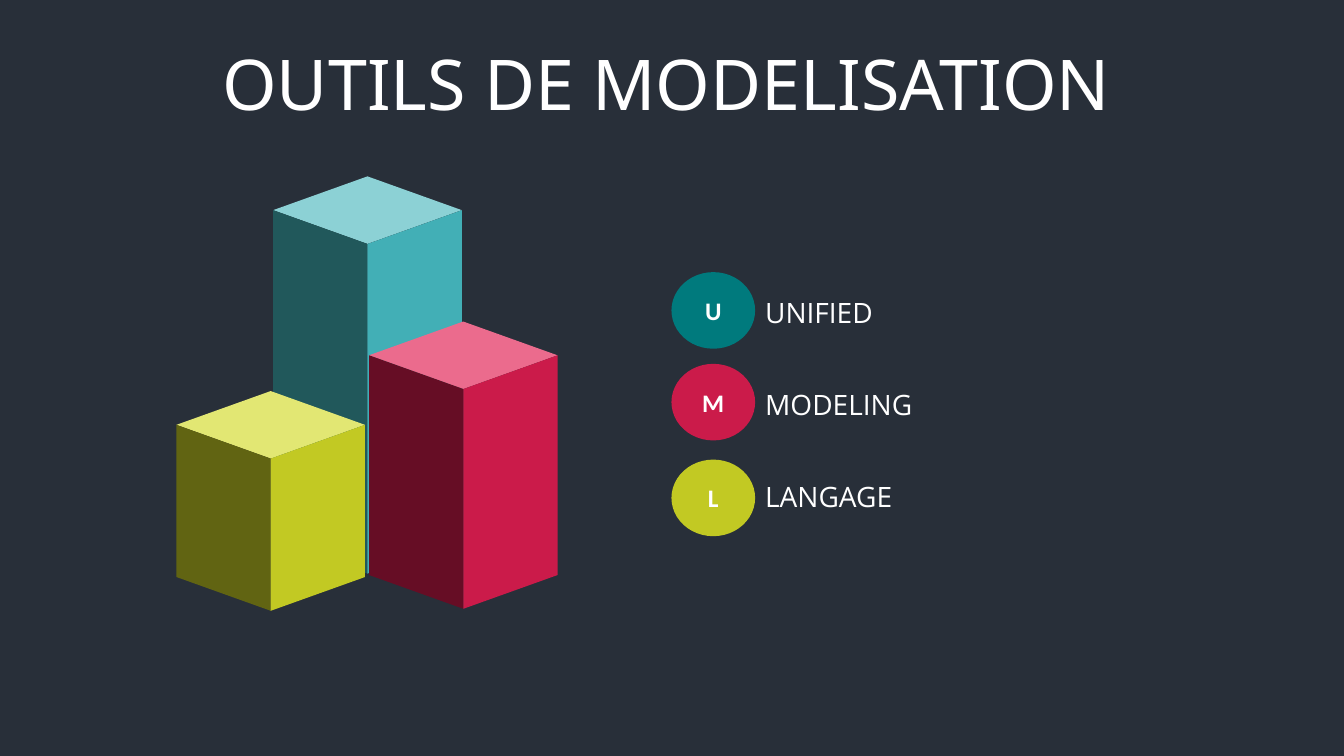
import dataclasses

import pptx
import pptx.dml.color
import pptx.enum.shapes
import pptx.enum.text
import pptx.util

Inches = pptx.util.Inches
Shape = pptx.enum.shapes.MSO_SHAPE
Align = pptx.enum.text.PP_ALIGN


@dataclasses.dataclass(frozen=True)
class Theme:
    background: str = "282F39"
    text: str = "FFFFFF"
    teal: tuple = ("8CD1D5", "21585B", "42AFB6")
    pink: tuple = ("EB6B8D", "660D25", "CB1B4A")
    lime: tuple = ("E2E773", "616412", "C2C923")
    unified: str = "007A7D"
    title_font: str = "Noto Sans"
    label_font: str = "Open Sans"
    letter_font: str = "Calibri"
    title_size: int = 50
    label_size: int = 20
    letter_size: int = 18


THEME = Theme()


def rgb(value):
    return pptx.dml.color.RGBColor.from_string(value)


def write(frame, words, font, size, align, bold=False):
    frame.word_wrap = True
    frame.vertical_anchor = pptx.enum.text.MSO_ANCHOR.MIDDLE
    paragraph = frame.paragraphs[0]
    paragraph.alignment = align
    run = paragraph.add_run()
    run.text = words
    run.font.name = font
    run.font.size = pptx.util.Pt(size)
    run.font.bold = bold
    run.font.color.rgb = rgb(THEME.text)


def add_filled(shapes, kind, left, top, width, height, color):
    filled = shapes.add_shape(
        kind, Inches(left), Inches(top), Inches(width), Inches(height)
    )
    filled.shadow.inherit = False
    filled.fill.solid()
    filled.fill.fore_color.rgb = rgb(color)
    filled.line.fill.background()
    return filled


def add_title(slide, left, top, width, height):
    title = slide.shapes.title
    title.left, title.top = Inches(left), Inches(top)
    title.width, title.height = Inches(width), Inches(height)
    write(title.text_frame, "OUTILS DE MODELISATION", THEME.title_font,
          THEME.title_size, Align.CENTER)
    title.text_frame.auto_size = pptx.enum.text.MSO_AUTO_SIZE.NONE


def add_prism(shapes, left, top, width, height, colors):
    lid_height = 0.67
    lid_color, *face_colors = colors
    add_filled(shapes, Shape.FLOWCHART_DECISION, left, top, width, lid_height, lid_color)
    face_width = width / 2
    face_height = height - lid_height / 2
    middle = top + lid_height / 2 + face_height / 2
    for side, color in enumerate(face_colors):
        center = left + face_width * (side + 0.5)
        face = add_filled(shapes, Shape.PARALLELOGRAM, center - face_height / 2,
                          middle - face_width / 2, face_height, face_width, color)
        face.adjustments[0] = 0.358
        face.rotation = 90
        if side:
            face._element.spPr.xfrm.set("flipV", "1")


def add_prisms(slide, left, top):
    group = slide.shapes.add_group_shape()
    for x, y, height, colors in (
        (0.96, 0, 3.94, THEME.teal),
        (1.91, 1.44, 2.85, THEME.pink),
        (0, 2.13, 2.18, THEME.lime),
    ):
        add_prism(group.shapes, left + x, top + y, 1.87, height, colors)


def add_entry(slide, left, top, width, word, label_offset, color):
    badge_width = 0.83
    badge = add_filled(slide.shapes, Shape.OVAL, left, top, badge_width, 0.76, color)
    write(badge.text_frame, word[0], THEME.letter_font, THEME.letter_size,
          Align.CENTER, bold=True)
    label = slide.shapes.add_textbox(
        Inches(left + badge_width), Inches(top + label_offset),
        Inches(width - badge_width), Inches(0.44),
    )
    write(label.text_frame, word, THEME.label_font, THEME.label_size, Align.JUSTIFY)


def add_acronym(slide, left, top, width):
    for y, word, label_offset, color in (
        (0, "UNIFIED", 0.18, THEME.unified),
        (0.91, "MODELING", 0.18, THEME.pink[-1]),
        (1.86, "LANGAGE", 0.14, THEME.lime[-1]),
    ):
        add_entry(slide, left, top + y, width, word, label_offset, color)


def main():
    deck = pptx.Presentation()
    deck.slide_width, deck.slide_height = Inches(13.33), Inches(7.5)
    slide = deck.slides.add_slide(deck.slide_layouts.get_by_name("Title Only"))
    slide.background.fill.solid()
    slide.background.fill.fore_color.rgb = rgb(THEME.background)
    add_title(slide, 1.32, 0.35, 10.58, 0.94)
    add_prisms(slide, 1.75, 1.75)
    add_acronym(slide, 6.66, 2.7, 5.41)
    deck.save("out.pptx")


if __name__ == "__main__":
    main()
